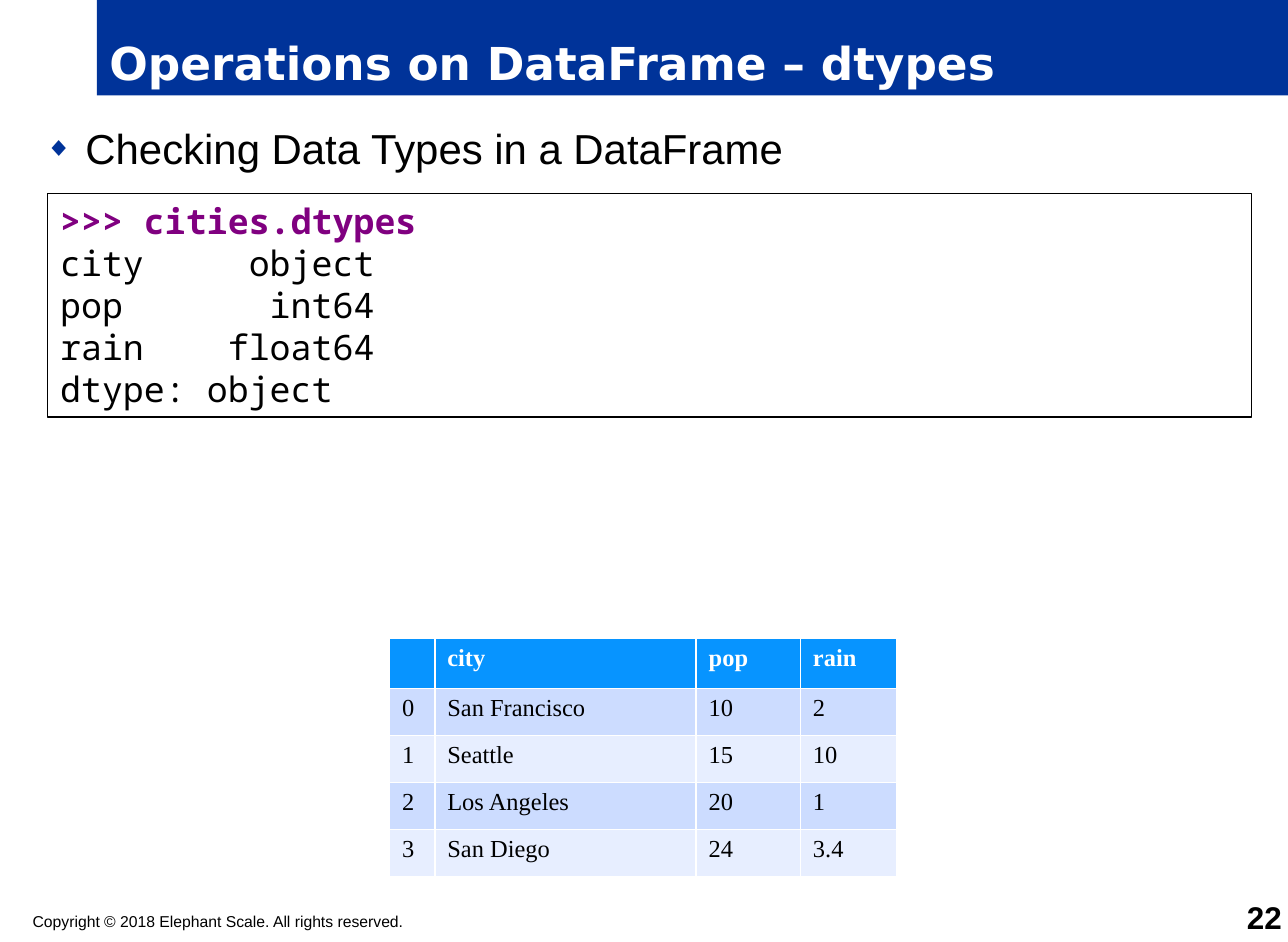
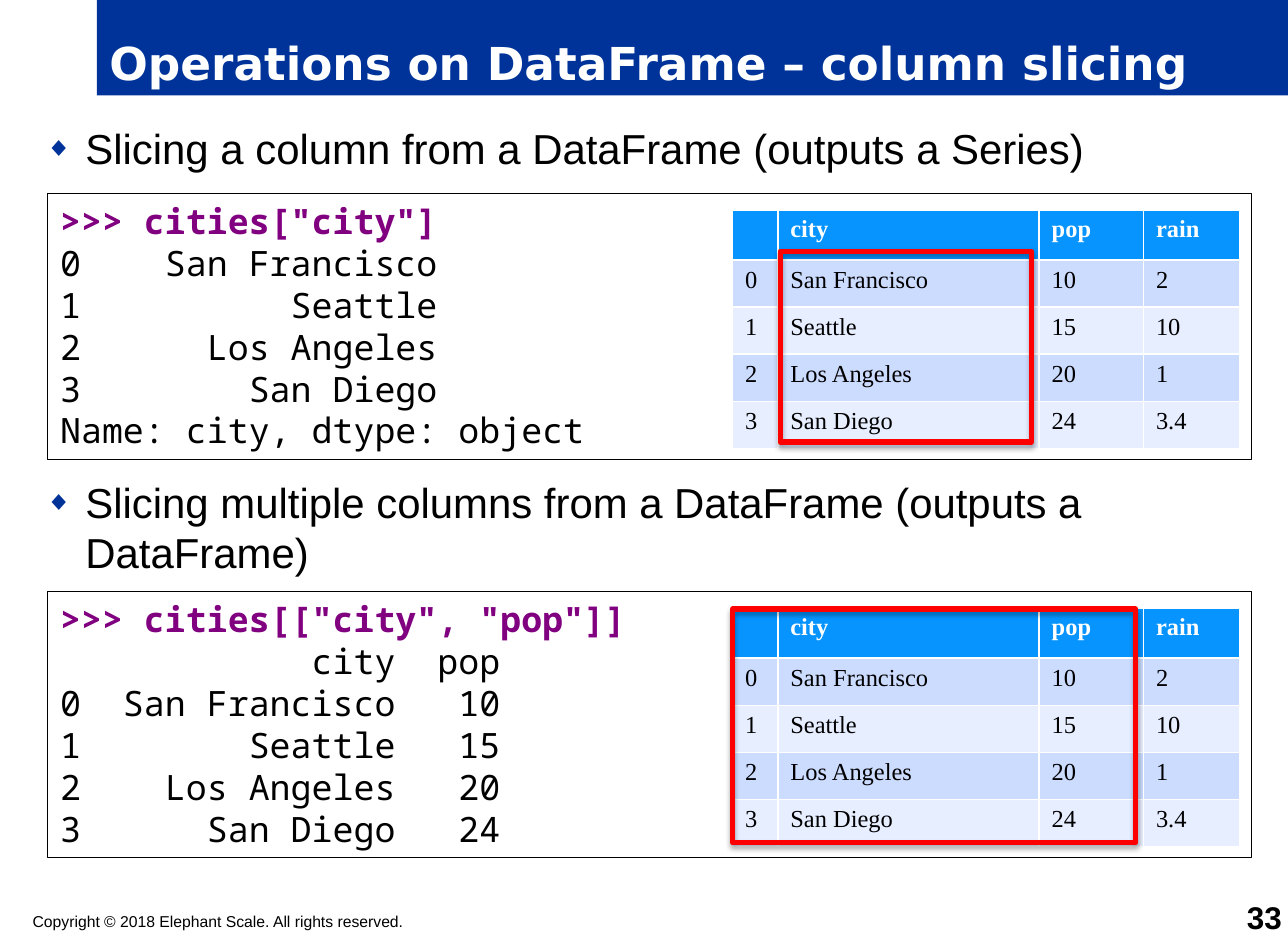
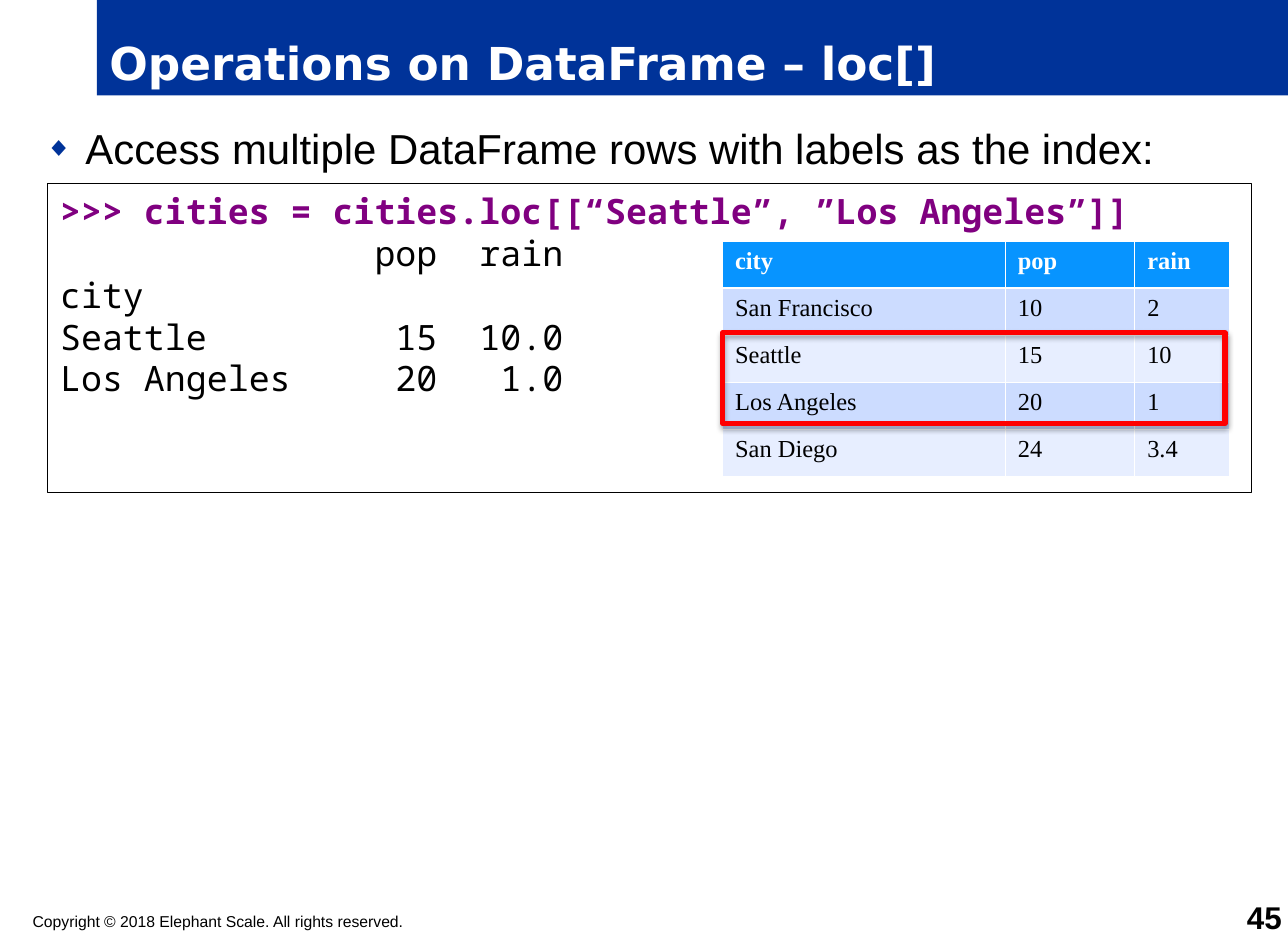
from lxml.etree import SubElement
from pptx import Presentation
from pptx.dml.color import RGBColor
from pptx.enum.shapes import MSO_SHAPE
from pptx.enum.text import MSO_ANCHOR, MSO_AUTO_SIZE, PP_ALIGN
from pptx.oxml.ns import qn
from pptx.util import Inches, Pt

COLORS = {
    "band": "003399", "white": "FFFFFF", "text": "000000", "prompt": "800080",
    "header": "0794FF", "odd": "CCDCFF", "even": "E7EEFF", "mark": "FF0000",
}
SANS, TITLE_FONT, MONO, SERIF = "Arial", "DejaVu Sans", "Noto Sans Mono", "Times New Roman"

# The slide is a grid of 41 columns by 30 rows; every box is (left, top, width, height) in cells.
CELL = Inches(0.25)
COLS, ROWS = 41, 30
TITLE_BOX = (3.08, 0, 37.92, 3.04)
BODY_BOX = (1.04, 3.72, 38.96, 24.6)
COPYRIGHT_BOX = (1.04, 29.04, 23.8, 0.6)
NUMBER_BOX = (38.4, 28.8, 2.4, 1)
CODE_LEFT, CODE_WIDTH = 1.52, 38.32
TABLE_ROW = 1.5

CITIES = [
    ["", "city", "pop", "rain"],
    ["0", "San Francisco", "10", "2"],
    ["1", "Seattle", "15", "10"],
    ["2", "Los Angeles", "20", "1"],
    ["3", "San Diego", "24", "3.4"],
]
CITY_COLS = [1.44, 8.32, 3.32, 3.08]
CITIES_BY_NAME = [row[1:] for row in CITIES]
NAME_COLS = [9, 4.12, 3.04]


def rgb(name):
    return RGBColor.from_string(COLORS[name])


def grid(*cells):
    """Turn grid cells into slide lengths."""
    return [round(c * CELL) for c in cells]


def place(s, box):
    s.left, s.top, s.width, s.height = grid(*box)


def style(p, font, size, color="text", bold=False):
    for r in p.runs:
        f = r.font
        f.name, f.size, f.bold = font, Pt(size), bold
        f.color.rgb = rgb(color)


def add_bullet(p):
    pPr = p._p.get_or_add_pPr()
    pPr.set("marL", str(Inches(0.32)))
    pPr.set("indent", str(-Inches(0.32)))
    SubElement(SubElement(pPr, qn("a:buClr")), qn("a:srgbClr"), val=COLORS["band"])
    SubElement(pPr, qn("a:buSzPct"), val="65000")
    SubElement(pPr, qn("a:buChar"), char="◆")


def add_title(slide, text):
    s = slide.shapes.title
    place(s, TITLE_BOX)
    s.fill.solid()
    s.fill.fore_color.rgb = rgb("band")
    tf = s.text_frame
    tf.text = text
    tf.auto_size = MSO_AUTO_SIZE.NONE
    tf.vertical_anchor = MSO_ANCHOR.BOTTOM
    p = tf.paragraphs[0]
    p.alignment = PP_ALIGN.LEFT
    style(p, TITLE_FONT, 26, "white", True)


def add_body(slide, bullets, gap):
    """Fill the body with bullets, gap points apart."""
    s = slide.placeholders[1]
    place(s, BODY_BOX)
    tf = s.text_frame
    tf.text = "\n".join(bullets)
    tf.auto_size = MSO_AUTO_SIZE.NONE
    for i, p in enumerate(tf.paragraphs):
        add_bullet(p)
        p.space_before = Pt(gap if i else 0)
        style(p, SANS, 24)


def add_label(slide, box, text, size, bold=False, align=PP_ALIGN.LEFT, anchor=MSO_ANCHOR.TOP):
    tf = slide.shapes.add_textbox(*grid(*box)).text_frame
    tf.margin_left = tf.margin_top = tf.margin_right = tf.margin_bottom = 0
    tf.word_wrap = True
    tf.vertical_anchor = anchor
    tf.text = text
    p = tf.paragraphs[0]
    p.alignment = align
    style(p, SANS, size, bold=bold)


def add_footer(slide, number):
    add_label(slide, COPYRIGHT_BOX, "Copyright © 2018 Elephant Scale. All rights reserved.", 9)
    add_label(slide, NUMBER_BOX, str(number), 18, True, PP_ALIGN.RIGHT, MSO_ANCHOR.BOTTOM)


def add_code(slide, top, height, lines):
    """Draw a framed session: the prompt line first, then its output."""
    box = grid(CODE_LEFT, top, CODE_WIDTH, height)
    s = slide.shapes.add_shape(MSO_SHAPE.RECTANGLE, *box)
    s.shadow.inherit = False
    s.fill.solid()
    s.fill.fore_color.rgb = rgb("white")
    s.line.color.rgb = rgb("text")
    s.line.width = Pt(0.75)
    tf = s.text_frame
    tf.word_wrap = True
    tf.vertical_anchor = MSO_ANCHOR.TOP
    tf.text = "\n".join(lines)
    for i, p in enumerate(tf.paragraphs):
        p.alignment = PP_ALIGN.LEFT
        p.line_spacing = Pt(24)
        style(p, MONO, 20, "text" if i else "prompt", i == 0)


def add_data_table(slide, left, top, rows, widths):
    box = grid(left, top, sum(widths), TABLE_ROW * len(rows))
    table = slide.shapes.add_table(len(rows), len(widths), *box).table
    for column, width in zip(table.columns, grid(*widths)):
        column.width = width
    for i, row in enumerate(rows):
        fill = "header" if i == 0 else "odd" if i % 2 else "even"
        for j, value in enumerate(row):
            cell = table.cell(i, j)
            cell.fill.solid()
            cell.fill.fore_color.rgb = rgb(fill)
            p = cell.text_frame.paragraphs[0]
            p.add_run().text = value
            style(p, SERIF, 14, "text" if i else "white", i == 0)


def add_highlight(slide, left, top, box):
    """Outline a part of the table whose corner is at left, top."""
    dx, dy, width, height = box
    s = slide.shapes.add_shape(MSO_SHAPE.RECTANGLE, *grid(left + dx, top + dy, width, height))
    s.fill.background()
    s.line.color.rgb = rgb("mark")
    s.line.width = Pt(3)
    effects = SubElement(s._element.spPr, qn("a:effectLst"))
    shadow = SubElement(effects, qn("a:outerShdw"), blurRad=str(Pt(3.1)), dist=str(Pt(1.8)),
                        dir="5400000", rotWithShape="0")
    color = SubElement(shadow, qn("a:srgbClr"), val=COLORS["text"])
    SubElement(color, qn("a:alpha"), val="35000")


def add_marked_code(slide, top, height, lines, offset, rows, widths, mark):
    """Draw a session with a table at an offset inside it and a marked part."""
    add_code(slide, top, height, lines)
    left, table_top = CODE_LEFT + offset[0], top + offset[1]
    add_data_table(slide, left, table_top, rows, widths)
    add_highlight(slide, left, table_top, mark)


def add_lesson(prs, title, number, bullets, gap=0):
    slide = prs.slides.add_slide(prs.slide_layouts[1])
    add_title(slide, title)
    add_body(slide, bullets, gap)
    add_footer(slide, number)
    return slide


def build_dtypes(prs):
    slide = add_lesson(prs, "Operations on DataFrame – dtypes", 22,
                       ["Checking Data Types in a DataFrame"])
    add_code(slide, 6.16, 7.12, [
        ">>> cities.dtypes",
        "city     object",
        "pop       int64",
        "rain    float64",
        "dtype: object",
    ])
    add_data_table(slide, 12.4, 20.32, CITIES, CITY_COLS)


def build_column_slicing(prs):
    slide = add_lesson(prs, "Operations on DataFrame – column slicing", 33, [
        "Slicing a column from a DataFrame (outputs a Series)",
        "Slicing multiple columns from a DataFrame (outputs a DataFrame)",
    ], gap=174)
    one_column = [
        '>>> cities["city"]',
        "0    San Francisco",
        "1          Seattle",
        "2      Los Angeles",
        "3        San Diego",
        "Name: city, dtype: object",
    ]
    two_columns = [
        '>>> cities[["city", "pop"]]',
        "            city  pop",
        "0  San Francisco   10",
        "1        Seattle   15",
        "2    Los Angeles   20",
        "3      San Diego   24",
    ]
    for top, lines, mark in [
        (6.16, one_column, (1.52, 1.32, 8, 6.08)),
        (18.84, two_columns, (0, 0.04, 12.84, 7.44)),
    ]:
        add_marked_code(slide, top, 8.48, lines, (21.8, 0.52), CITIES, CITY_COLS, mark)


def build_loc(prs):
    slide = add_lesson(prs, "Operations on DataFrame – loc[]", 45,
                       ["Access multiple DataFrame rows with labels as the index:"])
    lines = [
        ">>> cities = cities.loc[[“Seattle”, ”Los Angeles”]]",
        "               pop  rain",
        "city",
        "Seattle         15  10.0",
        "Los Angeles     20   1.0",
    ]
    add_marked_code(slide, 5.84, 9.84, lines, (21.48, 1.84), CITIES_BY_NAME, NAME_COLS,
                    (0, 2.92, 16, 2.88))


def main():
    prs = Presentation()
    prs.slide_width, prs.slide_height = grid(COLS, ROWS)
    build_dtypes(prs)
    build_column_slicing(prs)
    build_loc(prs)
    prs.save("out.pptx")


if __name__ == "__main__":
    main()
